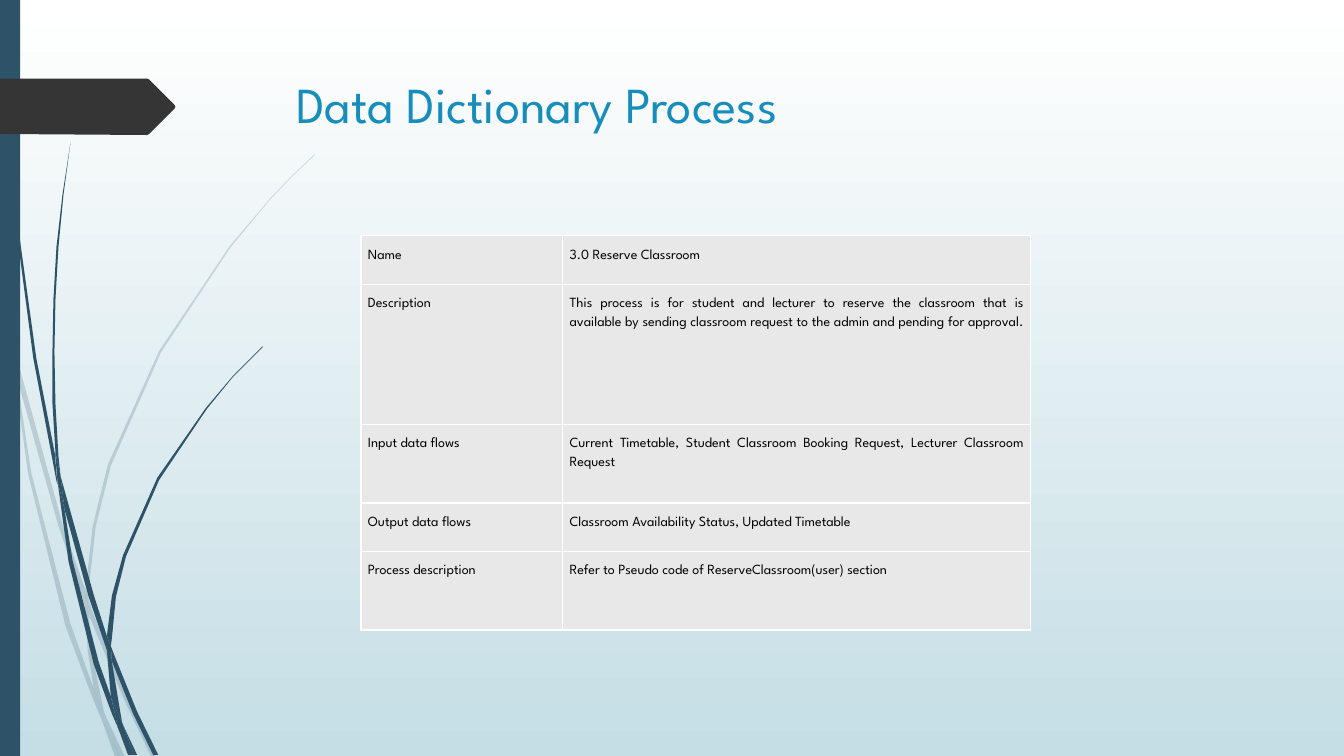
from pptx import Presentation
from pptx.dml.color import RGBColor
from pptx.enum.shapes import MSO_SHAPE
from pptx.enum.text import PP_ALIGN
from pptx.oxml.ns import qn
from pptx.util import Inches, Pt
from lxml import etree

RECTANGLE = MSO_SHAPE.RECTANGLE
JUSTIFY = PP_ALIGN.JUSTIFY
NAVY = "2E5369"

# Outlines of the grass blades, in inches
PALE_BLADES = [
    [(0.11, 3.5), (0.09, 3.22), (0, 2.82), (0, 2.99), (0.1, 3.44)],
    [(0.58, 5.22), (0.84, 5.99), (0.85, 5.86), (0.62, 5.2), (0.14, 3.45), (0.17, 3.76)],
    [(0.92, 6.07), (0.88, 5.96), (0.88, 6.1), (1.23, 6.94), (1.5, 7.51), (1.55, 7.51), (1.27, 6.92)],
    [(1.19, 7.51), (1.24, 7.51), (1.05, 7.11)],
    [(0.93, 6.83), (0.7, 6.19), (0.31, 4.69), (0.17, 3.76), (0.11, 3.5), (0.28, 4.7),
     (0.65, 6.21), (0.92, 6.93), (1.01, 7.14), (0.99, 7.07)],
    [(0.84, 5.99), (0.87, 6.46), (0.93, 6.83), (0.96, 6.92), (1.05, 7.11), (1.03, 7.06),
     (0.91, 6.46), (0.88, 6.1), (0.88, 6.08)],
    [(0.88, 5.84), (0.95, 5.22), (1.1, 4.62), (1.6, 3.49), (2.29, 2.45), (2.68, 1.98), (2.9, 1.75),
     (3.12, 1.54), (3.12, 1.53), (2.89, 1.75), (2.68, 1.97), (2.28, 2.44), (1.58, 3.48),
     (1.07, 4.61), (0.92, 5.22), (0.85, 5.84), (0.85, 5.86), (0.88, 5.96)],
    [(1.01, 7.14), (1.14, 7.51), (1.19, 7.51)],
    [(0.88, 6.08), (0.88, 6.1), (0.88, 5.96), (0.85, 5.86), (0.84, 5.99)],
    [(0.96, 6.92), (0.93, 6.83), (0.99, 7.07), (1.01, 7.14), (1.19, 7.51), (1.05, 7.11)],
]
DARK_BLADES = [
    [(0.07, 1.1), (0.17, 2.33), (0.33, 3.55), (0.56, 4.77), (0.57, 4.81), (0.55, 4.57), (0.55, 4.53),
     (0.36, 3.55), (0.19, 2.32), (0.08, 1.09), (0.05, 0.48), (0.04, 0), (0.03, 0), (0.04, 0.48)],
    [(0.88, 5.92), (1.06, 6.45), (1.06, 6.31), (0.93, 5.9), (0.6, 4.72), (0.64, 5.05)],
    [(1.13, 6.49), (1.1, 6.41), (1.11, 6.56), (1.32, 7.08), (1.52, 7.49), (1.57, 7.49), (1.36, 7.06)],
    [(1.1, 6.91), (0.98, 6.57), (0.72, 5.56), (0.64, 5.05), (0.57, 4.77), (0.68, 5.57),
     (0.93, 6.59), (1.11, 7.08), (1.17, 7.22), (1.16, 7.17)],
    [(0.6, 4.72), (0.58, 4.53), (0.55, 4.01), (0.54, 3.49), (0.55, 2.97), (0.58, 2.45), (0.63, 1.93),
     (0.7, 1.41), (0.62, 1.93), (0.56, 2.45), (0.53, 2.97), (0.52, 3.49), (0.52, 4), (0.55, 4.49)],
    [(1.33, 7.49), (1.36, 7.49), (1.22, 7.19)],
    [(0.57, 4.77), (0.64, 5.05), (0.6, 4.72), (0.55, 4.49), (0.55, 4.53)],
    [(1.11, 6.33), (1.15, 5.92), (1.25, 5.52), (1.58, 4.76), (2.05, 4.06), (2.31, 3.74), (2.61, 3.44),
     (2.6, 3.44), (2.31, 3.73), (2.04, 4.05), (1.56, 4.74), (1.22, 5.51), (1.11, 5.91),
     (1.06, 6.31), (1.1, 6.41)],
    [(1.17, 7.22), (1.27, 7.49), (1.31, 7.49)],
    [(1.06, 6.45), (1.1, 6.91), (1.16, 7.06), (1.22, 7.19), (1.21, 7.16), (1.11, 6.56), (1.09, 6.51)],
    [(1.06, 6.45), (1.09, 6.51), (1.11, 6.56), (1.1, 6.41), (1.06, 6.31)],
    [(1.16, 7.06), (1.1, 6.91), (1.16, 7.17), (1.17, 7.22), (1.3, 7.49), (1.33, 7.49), (1.22, 7.19)],
]
TAG_OUTLINE = [(0, 0.78), (1.46, 0.78), (1.48, 0.79), (1.73, 1.04), (1.74, 1.06),
               (1.73, 1.08), (1.48, 1.33), (1.46, 1.34), (0, 1.33)]
PROCESS_ROWS = [
    (0.48, "Name", "3.0 Reserve Classroom"),
    (1.39, "Description", "This process is for student and lecturer to reserve the classroom that is "
                          "available by sending classroom request to the admin and pending for approval. "),
    (0.78, "Input data flows", "Current Timetable, Student Classroom Booking Request, "
                               "Lecturer Classroom Request"),
    (0.48, "Output data flows", "Classroom Availability Status, Updated Timetable"),
    (0.78, "Process description", "Refer to Pseudo code of ReserveClassroom(user) section"),
]


def color(value):
    return RGBColor.from_string(value)


class SlideBuilder:
    font = "League Spartan"

    def __init__(self, page):
        self.page = page

    def background(self, top, bottom):
        fill = self.page.background.fill
        fill.gradient()
        fill.gradient_angle = 270
        for stop, value in zip(fill.gradient_stops, (top, bottom)):
            stop.color.rgb = color(value)

    def paint(self, shape, value, opacity=100):
        shape.shadow.inherit = False
        shape.fill.solid()
        shape.fill.fore_color.rgb = color(value)
        shape.line.fill.background()
        if opacity < 100:
            tint = shape.fill._xPr.find(qn("a:solidFill"))[0]
            etree.SubElement(tint, qn("a:alpha"), val=str(opacity * 1000))

    def rectangle(self, left, top, width, height, value):
        area = map(Inches, (left, top, width, height))
        self.paint(self.page.shapes.add_shape(RECTANGLE, *area), value)

    def outline(self, points, value, opacity=100):
        corners = [(Inches(x), Inches(y)) for x, y in points]
        builder = self.page.shapes.build_freeform(*corners[0])
        builder.add_line_segments(corners[1:])
        self.paint(builder.convert_to_shape(), value, opacity)

    def style(self, paragraph, size, value):
        paragraph.font.name = self.font
        paragraph.font.size = Pt(size)
        paragraph.font.color.rgb = color(value)

    def title(self, text, left, top, width, height):
        box = self.page.shapes.add_textbox(*map(Inches, (left, top, width, height)))
        box.text_frame.word_wrap = True
        box.text_frame.text = text
        self.style(box.text_frame.paragraphs[0], 36, "178DBB")

    def cell(self, cell, text):
        cell.text = text
        cell.margin_left = cell.margin_right = cell.margin_top = cell.margin_bottom = Inches(0.07)
        para = cell.text_frame.paragraphs[0]
        para.alignment = JUSTIFY
        para.line_spacing = 1.5
        para.space_after = Pt(6)
        self.style(para, 10, "000000")
        properties = cell._tc.get_or_add_tcPr()
        for side in ("lnL", "lnR", "lnT", "lnB"):
            border = etree.SubElement(properties, qn("a:" + side), w=str(Pt(1)))
            border_fill = etree.SubElement(border, qn("a:solidFill"))
            etree.SubElement(border_fill, qn("a:srgbClr"), val="FFFFFF")
        cell.fill.solid()
        cell.fill.fore_color.rgb = color("E8E8E8")

    def table(self, left, top, widths, rows):
        height = sum(row[0] for row in rows)
        area = map(Inches, (left, top, sum(widths), height))
        table = self.page.shapes.add_table(len(rows), len(widths), *area).table
        for column, width in zip(table.columns, widths):
            column.width = Inches(width)
        for row, (row_height, *texts) in zip(table.rows, rows):
            row.height = Inches(row_height)
            for cell, text in zip(row.cells, texts):
                self.cell(cell, text)


def main():
    deck = Presentation()
    deck.slide_width, deck.slide_height = Inches(13.33), Inches(7.5)
    slide = SlideBuilder(deck.slides.add_slide(deck.slide_layouts[6]))

    # Backdrop and grass blades
    slide.background("FFFFFF", "C5DEE5")
    for blades, opacity in ((PALE_BLADES, 20), (DARK_BLADES, 100)):
        for blade in blades:
            slide.outline(blade, NAVY, opacity)

    # Side bar and page tag
    slide.rectangle(0, 0, 0.2, 7.5, NAVY)
    slide.outline(TAG_OUTLINE, "353535")

    # Title and process table
    slide.title("Data Dictionary Process", 2.84, 0.68, 9.75, 1.4)
    slide.table(3.58, 2.34, (2, 4.64), PROCESS_ROWS)
    deck.save("out.pptx")


if __name__ == "__main__":
    main()
